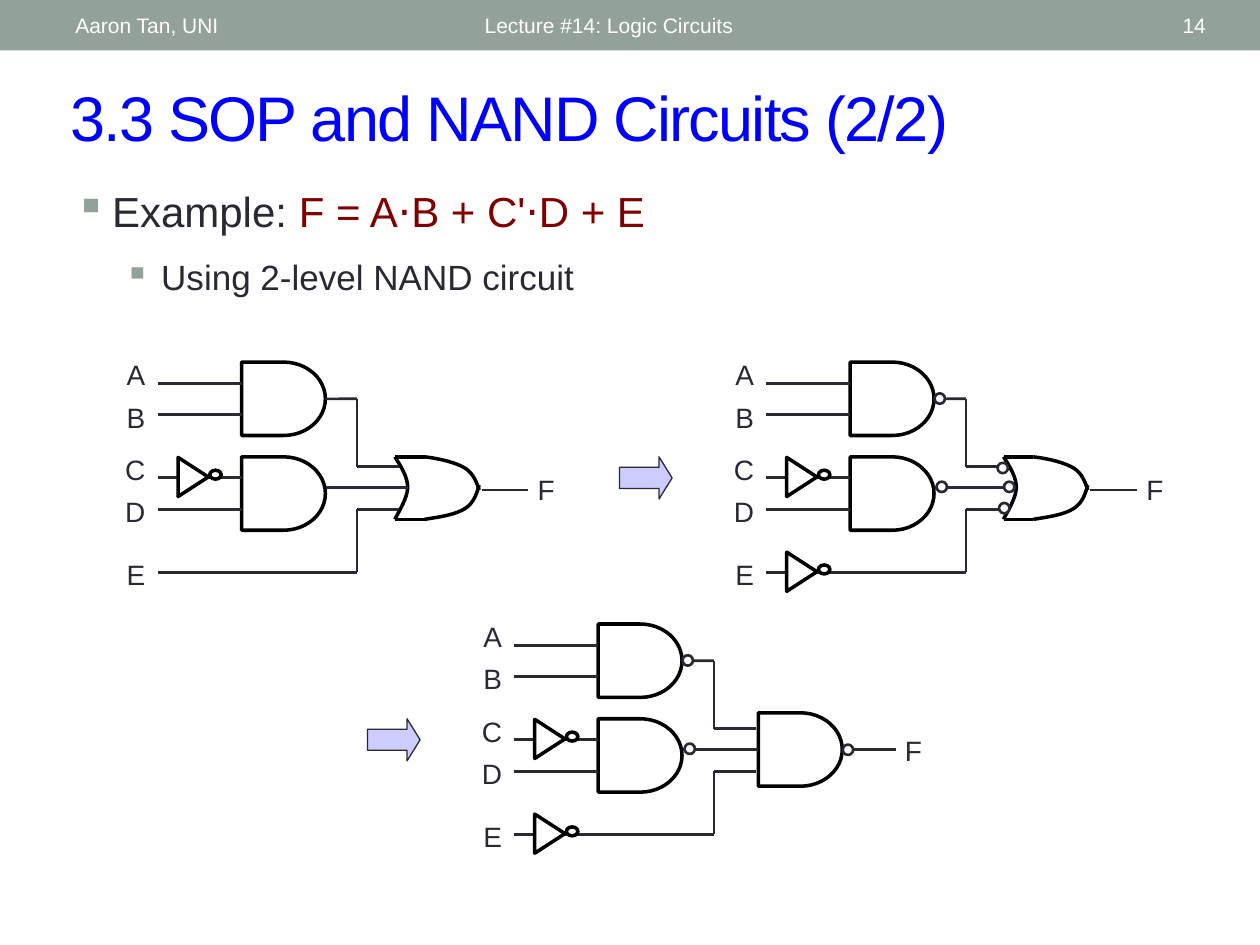
import dataclasses

import lxml.etree
import pptx
import pptx.dml.color
import pptx.enum.shapes
import pptx.enum.text
import pptx.oxml.ns
import pptx.util

Cm = pptx.util.Cm
Pt = pptx.util.Pt
qn = pptx.oxml.ns.qn
rgb = pptx.dml.color.RGBColor.from_string
MSO = pptx.enum.shapes.MSO_SHAPE
ALIGN = pptx.enum.text.PP_ALIGN
ANCHOR = pptx.enum.text.MSO_ANCHOR


@dataclasses.dataclass(frozen=True)
class Theme:
    font: str = "Arial"
    bar: str = "93A299"
    title: str = "0000FF"
    ink: str = "292934"
    formula: str = "800000"
    gate: str = "000000"
    white: str = "FFFFFF"
    arrow: str = "CCCCFF"
    title_size: int = 36
    body_size: int = 24
    sub_size: int = 20
    label_size: int = 16
    header_size: int = 12
    gate_weight: float = 2
    wire_weight: float = 1.5
    arrow_weight: float = 0.75


theme = Theme()


def add_shape(shapes, kind, x, y, w, h, fill, line, weight):
    sp = shapes.add_shape(kind, Cm(x), Cm(y), Cm(w), Cm(h))
    sp.shadow.inherit = False
    if fill:
        sp.fill.solid()
        sp.fill.fore_color.rgb = rgb(fill)
    else:
        sp.fill.background()
    if line:
        sp.line.color.rgb = rgb(line)
        sp.line.width = Pt(weight)
    else:
        sp.line.fill.background()
    return sp


def add_text(shapes, x, y, w, h, paragraphs, align=ALIGN.LEFT, anchor=ANCHOR.TOP):
    sp = shapes.add_textbox(Cm(x), Cm(y), Cm(w), Cm(h))
    tf = sp.text_frame
    tf.word_wrap = True
    tf.vertical_anchor = anchor
    for i, runs in enumerate(paragraphs):
        p = tf.add_paragraph() if i else tf.paragraphs[0]
        p.alignment = align
        for text, size, color in runs:
            r = p.add_run()
            r.text = text
            r.font.name = theme.font
            r.font.size = Pt(size)
            r.font.color.rgb = rgb(color)
    return tf


prs = pptx.Presentation()
prs.slide_width = Cm(25.4)
prs.slide_height = Cm(19.05)
s = prs.slides.add_slide(prs.slide_layouts[6])

add_shape(s.shapes, MSO.RECTANGLE, 0, 0, 25.4, 1.02, theme.bar, None, 0)
for text, x, w, align in [
    ("Aaron Tan, UNI", 1.27, 8.05, ALIGN.LEFT),
    ("Lecture #14: Logic Circuits", 9.52, 11.43, ALIGN.LEFT),
    ("14", 22.15, 2.41, ALIGN.RIGHT),
]:
    runs = [(text, theme.header_size, theme.white)]
    add_text(s.shapes, x, 0.05, w, 0.91, [runs], align, ANCHOR.MIDDLE)

runs = [("3.3 SOP and NAND Circuits (2/2)", theme.title_size, theme.title)]
tf = add_text(s.shapes, 1.17, 1.45, 23.04, 1.78, [runs], anchor=ANCHOR.MIDDLE)
tf.paragraphs[0].runs[0].font._element.set("spc", "-100")

tf = add_text(s.shapes, 1.27, 3.61, 22.86, 2.64, [
    [("Example:", theme.body_size, theme.ink),
     (" F = A⋅B + C'⋅D + E", theme.body_size, theme.formula)],
    [("Using 2-level NAND circuit", theme.sub_size, theme.ink)],
])
for level, (p, margin) in enumerate(zip(tf.paragraphs, [0.74, 1.73])):
    p.level = level
    p.space_before = Pt(11.5 * level)
    pPr = p._p.get_or_add_pPr()
    pPr.set("marL", str(Cm(margin)))
    pPr.set("indent", str(-Cm(0.74)))
    color = lxml.etree.SubElement(pPr, qn("a:buClr"))
    lxml.etree.SubElement(color, qn("a:srgbClr"), val=theme.bar)
    lxml.etree.SubElement(pPr, qn("a:buChar"), char="▪")

inputs = [("A", 0, 0.64, 2.75), ("B", 0.85, 1.27, 2.75), ("C", 1.91, 2.54, 2.75),
          ("D", 2.75, 3.18, 2.75), ("E", 4.02, 4.45, 5.08)]
or_curves = [
    [(5.84, 2.12), (5.97, 2.32), (6.1, 2.53), (6.1, 2.74),
     (6.1, 2.95), (5.89, 3.28), (5.84, 3.38)],
    [(6.44, 2.12), (6.77, 2.16), (7.08, 2.24), (7.26, 2.35),
     (7.43, 2.46), (7.49, 2.64), (7.54, 2.79)],
    [(6.44, 3.38), (6.77, 3.33), (7.08, 3.28), (7.26, 3.16),
     (7.43, 3.05), (7.49, 2.87), (7.54, 2.69)],
]
and_bubbles = [(4.45, 0.84), (4.49, 2.62)]
or_bubbles = [(5.72, 2.24), (5.85, 2.62), (5.75, 3.05)]
nand_bubbles = [(7.68, 2.64)]
circuits = [
    (2.12, 7.09, "or", [2.54], []),
    (14.39, 7.09, "or", [2.54, 4.45], and_bubbles + or_bubbles),
    (9.31, 12.37, "nand", [2.54, 4.45], and_bubbles + nand_bubbles),
]

for n, (left, top, output, inverters, bubbles) in enumerate(circuits):
    shapes = s.shapes.add_group_shape().shapes
    gate_style = (None, theme.gate, theme.gate_weight)
    wire_style = (theme.ink, theme.wire_weight)
    if n:
        sp = add_shape(shapes, MSO.RIGHT_ARROW, left - 1.9, top + 2.12, 1.06, 0.85,
                       theme.arrow, theme.ink, theme.arrow_weight)
        sp.adjustments[0], sp.adjustments[1] = 0.5, 0.31

    upper, lower = [
        add_shape(shapes, MSO.FLOWCHART_DELAY, left + 2.75, top + y, 1.69, 1.48, *gate_style)
        for y in (0.21, 2.12)
    ]
    final = None
    lines = [(1.06, y, end, y, *wire_style, None, None) for _, _, y, end in inputs]
    lines += [
        (4.45, 0.95, 5.08, 0.95, *wire_style, upper, None),
        (5.08, 0.95, 5.08, 2.32, *wire_style, None, None),
        (5.08, 2.32, 5.93, 2.32, *wire_style, None, None),
        (5.08, 3.18, 5.93, 3.18, *wire_style, None, None),
        (5.08, 3.18, 5.08, 4.45, *wire_style, None, None),
    ]
    if output == "or":
        f_x, f_y = 8.47, 2.31
        lines += [
            (4.45, 2.74, 6.1, 2.74, *wire_style, None, None),
            (7.59, 2.79, 8.53, 2.79, *wire_style, None, None),
        ]
        lines += [(5.84, y, 6.44, y, theme.gate, theme.gate_weight, None, None)
                  for y in (2.12, 3.38)]
        for curve in or_curves:
            points = []
            for a, b, c, d in (curve[:4], curve[3:]):
                for t in [i / 8 for i in range(9)]:
                    points.append(tuple(
                        Cm(o + a[k] * (1 - t) ** 3 + 3 * b[k] * t * (1 - t) ** 2
                           + 3 * c[k] * t ** 2 * (1 - t) + d[k] * t ** 3)
                        for k, o in enumerate((left, top))))
            outline = shapes.build_freeform(*points[0])
            outline.add_line_segments(points[1:], close=False)
            sp = outline.convert_to_shape()
            sp.shadow.inherit = False
            sp.fill.background()
            sp.line.color.rgb = rgb(theme.gate)
            sp.line.width = Pt(theme.gate_weight)
    else:
        f_x, f_y = 8.68, 2.29
        final = add_shape(shapes, MSO.FLOWCHART_DELAY, left + 5.98, top + 2, 1.69, 1.48,
                          *gate_style)
        lines += [
            (4.45, 2.74, 5.98, 2.74, *wire_style, None, final),
            (7.67, 2.74, 8.75, 2.74, *wire_style, final, None),
        ]

    for x1, y1, x2, y2, color, weight, begin, end in lines:
        line = shapes.add_connector(pptx.enum.shapes.MSO_CONNECTOR.STRAIGHT, Cm(left + x1),
                                    Cm(top + y1), Cm(left + x2), Cm(top + y2))
        if begin:
            line.begin_connect(begin, 3)
        if end:
            line.end_connect(end, 1)
        line.line.color.rgb = rgb(color)
        line.line.width = Pt(weight)
        lxml.etree.SubElement(line._element.spPr, qn("a:effectLst"))

    for y in inverters:
        style = (theme.white, theme.gate, theme.gate_weight)
        sp = add_shape(shapes, MSO.FLOWCHART_MERGE, left + 1.38, top + y - 0.32, 0.79, 0.61, *style)
        sp.rotation = 270
        add_shape(shapes, MSO.OVAL, left + 2.11, top + y - 0.15, 0.23, 0.18, *style)
    for x, y in bubbles:
        add_shape(shapes, MSO.OVAL, left + x, top + y, 0.21, 0.21, theme.white, *wire_style)

    labels = [(name, 0, y, 1.06, ALIGN.RIGHT) for name, y, _, _ in inputs]
    for name, x, y, w, align in labels + [("F", f_x, f_y, 1.22, ALIGN.LEFT)]:
        runs = [(name, theme.label_size, theme.ink)]
        tf = add_text(shapes, left + x, top + y, w, 0.94, [runs], align)
        tf.auto_size = pptx.enum.text.MSO_AUTO_SIZE.SHAPE_TO_FIT_TEXT

prs.save("out.pptx")
